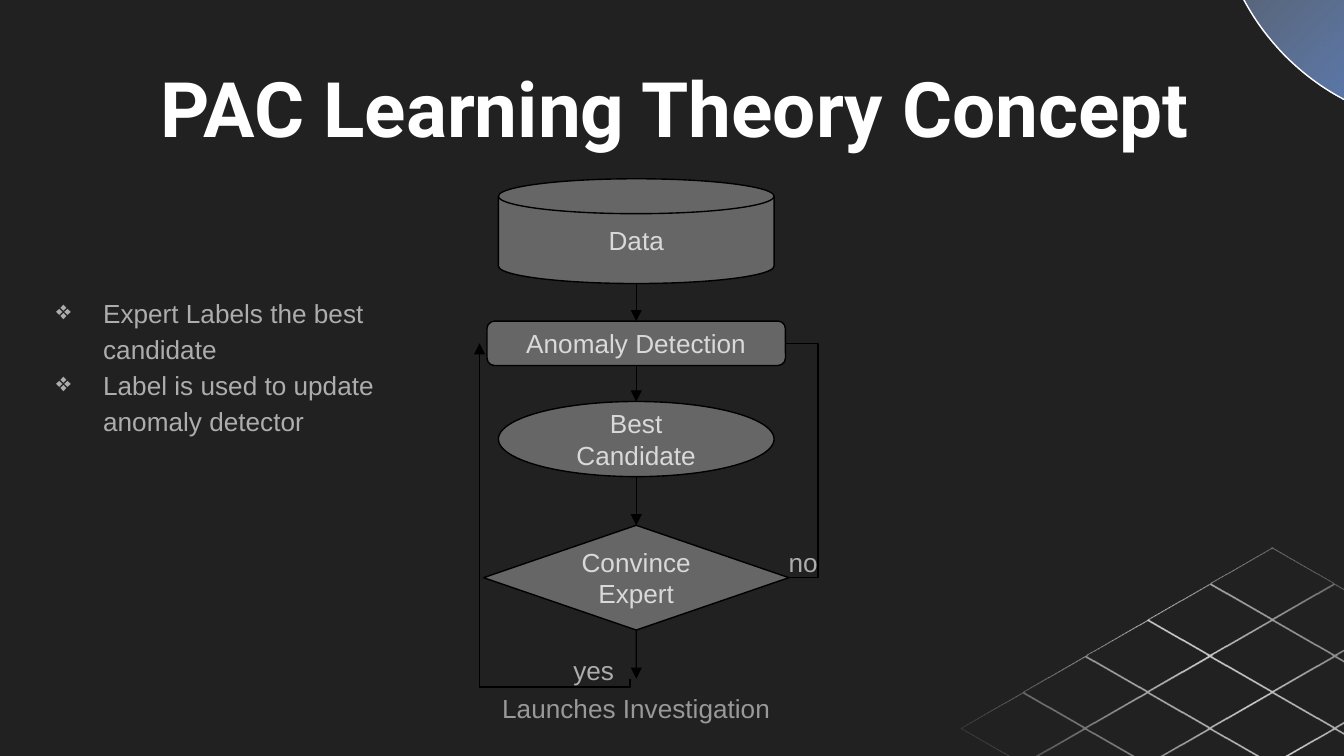
from dataclasses import dataclass

from lxml import etree
from pptx import Presentation
from pptx import util as u
from pptx.dml.color import RGBColor
from pptx.enum import shapes, text
from pptx.oxml import parse_xml
from pptx.oxml.ns import nsdecls, qn


@dataclass(frozen=True)
class Theme:
    back: str = "212121"
    white: str = "FFFFFF"
    blue: str = "2D7AFF"
    node: str = "666666"
    line: str = "000000"
    label: str = "D9D9D9"
    body: str = "ADADAD"
    faint: str = "999999"
    head: str = "Roboto"
    font: str = "Arial"
    big: float = 41
    small: float = 14
    rule: float = 0.75


T = Theme()
MID = text.PP_ALIGN.CENTER
LEFT = text.PP_ALIGN.LEFT
TOP = text.MSO_ANCHOR.TOP


def cm(*sizes):
    return [u.Cm(size) for size in sizes]


def rgb(code):
    return RGBColor.from_string(code)


def write(shape, lines, color, align=MID, anchor=TOP, font=T.font, size=T.small, bold=False):
    frame = shape.text_frame
    frame.word_wrap = True
    frame.auto_size = text.MSO_AUTO_SIZE.NONE
    frame.vertical_anchor = anchor
    frame.margin_left = frame.margin_right = u.Cm(0.25)
    frame.margin_top = frame.margin_bottom = u.Cm(0.25)
    frame.text = "\n".join(lines)
    for para in frame.paragraphs:
        para.alignment = align
        para.font.name = font
        para.font.size = u.Pt(size)
        para.font.bold = bold
        para.font.color.rgb = rgb(color)


def label(slide, box, words, color, align=MID):
    shape = slide.shapes.add_textbox(*cm(*box))
    write(shape, [words], color, align)
    return shape


def blend(shape, stops, way):
    """Fill with a gradient of (position, colour, opacity) stops, in percent."""
    marks = "".join(
        f'<a:gs pos="{pos * 1000}"><a:srgbClr val="{color}">'
        f'<a:alpha val="{alpha * 1000}"/></a:srgbClr></a:gs>'
        for pos, color, alpha in stops)
    shape.fill.background()
    blank = shape._element.spPr.find(qn("a:noFill"))
    blank.getparent().replace(blank, parse_xml(
        f'<a:gradFill {nsdecls("a")} rotWithShape="1"><a:gsLst>{marks}</a:gsLst>{way}</a:gradFill>'))
    shape.shadow.inherit = False


def link(slide, kind, start, end, arrow=True):
    line = slide.shapes.add_connector(kind, *cm(*start, *end))
    line.line.color.rgb = rgb(T.line)
    line.line.width = u.Pt(T.rule)
    if arrow:
        tail = etree.SubElement(line.line._get_or_add_ln(), qn("a:tailEnd"))
        tail.set("type", "triangle")
    etree.SubElement(line._element.spPr, qn("a:effectLst"))
    return line


def elbow(slide, start, end, lane, upright=False, arrow=True):
    """Route through a lane: an x value, or a y value if the route starts upright."""
    axis = 1 if upright else 0
    bend = (lane - start[axis]) / (end[axis] - start[axis])
    ends = [start, end]
    if upright:
        cx, cy = ((a + b) / 2 for a, b in zip(start, end))
        ends = [(cx + y - cy, cy - x + cx) for x, y in ends]
    line = link(slide, shapes.MSO_CONNECTOR.ELBOW, *ends, arrow)
    props = line._element.spPr
    if upright:
        props.find(qn("a:xfrm")).set("rot", str(90 * 60000))
    geom = props.find(qn("a:prstGeom"))
    guides = geom.find(qn("a:avLst"))
    if guides is None:
        guides = etree.SubElement(geom, qn("a:avLst"))
    guide = etree.SubElement(guides, qn("a:gd"))
    guide.set("name", "adj1")
    guide.set("fmla", f"val {round(bend * 100000)}")


def title(slide, box, words):
    shape = slide.shapes.title
    shape.left, shape.top, shape.width, shape.height = cm(*box)
    write(shape, [words], T.white, font=T.head, size=T.big, bold=True)


def lattice(slide, box, count=5):
    """Draw a rhombus pierced by count x count smaller ones."""
    left, top, width, height = box
    mid = left + width / 2
    dx, dy = width / 2 / count, height / 2 / count

    def rhomb(x, y, w, h):
        return [cm(x, y - h), cm(x + w, y), cm(x, y + h), cm(x - w, y)]

    rim = rhomb(mid, top + height / 2, width / 2, height / 2)
    pen = slide.shapes.build_freeform(*rim[0])
    pen.add_line_segments(rim[:0:-1])
    for i in range(count):
        for j in range(count):
            hole = rhomb(mid + (i - j) * dx, top + (i + j + 1) * dy, dx - 0.03, dy - 0.02)
            pen.move_to(*hole[0])
            pen.add_line_segments(hole[1:])
    shape = pen.convert_to_shape()
    fade = [(0, 0), (13, 0), (50, 80), (88, 0), (100, 0)]
    blend(shape, [(pos, T.white, alpha) for pos, alpha in fade],
          f'<a:lin ang="{135 * 60000}" scaled="0"/>')
    shape.line.fill.background()


def globe(slide, box):
    shape = slide.shapes.add_shape(shapes.MSO_SHAPE.OVAL, *cm(*box))
    blend(shape, [(0, T.white, 0), (100, T.blue, 100)],
          '<a:path path="circle"><a:fillToRect r="100000" b="100000"/></a:path>')
    shape.line.color.rgb = rgb(T.white)
    shape.line.width = u.Pt(T.rule)


def bullets(slide, box, lines):
    shape = slide.shapes.add_textbox(*cm(*box))
    write(shape, lines, T.body, LEFT)
    for para in shape.text_frame.paragraphs:
        para.line_spacing = 1.15
        props = para._p.get_or_add_pPr()
        props.set("marL", str(u.Cm(1.27)))
        props.set("indent", str(u.Cm(-0.89)))
        mark = etree.Element(qn("a:buChar"))
        mark.set("char", "❖")
        props.find(qn("a:lnSpc")).addnext(mark)


def flow(slide, box):
    left, top, width, _ = box
    mid = left + width / 2
    kind = shapes.MSO_SHAPE
    steps = [
        (kind.FLOWCHART_MAGNETIC_DISK, "Data", 0, 5.21, 1.98),
        (kind.ROUNDED_RECTANGLE, "Anomaly Detection", 2.69, 5.64, 0.84),
        (kind.OVAL, "Best Candidate", 4.21, 5.21, 1.42),
        (kind.FLOWCHART_DECISION, "Convince Expert", 6.55, 5.77, 1.98),
    ]
    nodes, ends = [], []
    for form, words, down, wide, high in steps:
        node = slide.shapes.add_shape(form, *cm(mid - wide / 2, top + down, wide, high))
        node.shadow.inherit = False
        node.fill.solid()
        node.fill.fore_color.rgb = rgb(T.node)
        node.line.color.rgb = rgb(T.line)
        node.line.width = u.Pt(T.rule)
        write(node, [words], T.label, anchor=text.MSO_ANCHOR.MIDDLE)
        nodes.append(node)
        ends.append((top + down, top + down + high))
    foot = top + 9.45
    nodes.append(label(slide, (left, foot, width, 1.12), "Launches Investigation", T.faint))
    ends.append((foot, foot))

    joined = (1, 3, 4)  # nodes whose four sides can hold a connector
    for i in range(len(nodes) - 1):
        line = link(slide, shapes.MSO_CONNECTOR.STRAIGHT, (mid, ends[i][1]), (mid, ends[i + 1][0]))
        if i in joined:
            line.begin_connect(nodes[i], 2)
        if i + 1 in joined:
            line.end_connect(nodes[i + 1], 0)

    detect, choice = top + 3.11, top + 7.54
    elbow(slide, (mid - 0.12, foot), (mid - 2.96, detect), foot + 0.16, upright=True)
    elbow(slide, (mid + 2.88, choice), (mid + 2.82, detect), mid + 3.44, arrow=False)
    label(slide, (mid - 1.44, top + 8.74, 1.42, 1.12), "yes", T.body, LEFT)
    label(slide, (mid + 2.63, top + 6.7, 1.85, 1.12), "no", T.body, LEFT)


def main():
    deck = Presentation()
    deck.slide_width, deck.slide_height = cm(25.4, 14.29)
    slide = deck.slides.add_slide(deck.slide_layouts[5])
    slide.background.fill.solid()
    slide.background.fill.fore_color.rgb = rgb(T.back)
    title(slide, (0.13, 0.91, 25.27, 2.26), "PAC Learning Theory Concept")
    lattice(slide, (18.16, 10.36, 11.76, 6.81))
    globe(slide, (22.94, -6.91, 9.04, 9.3))
    bullets(slide, (0.43, 5.28, 6.91, 3.51),
            ["Expert Labels the best candidate", "Label is used to update anomaly detector"])
    flow(slide, (8.1, 3.38, 7.85, 10.57))
    deck.save("out.pptx")


if __name__ == "__main__":
    main()
